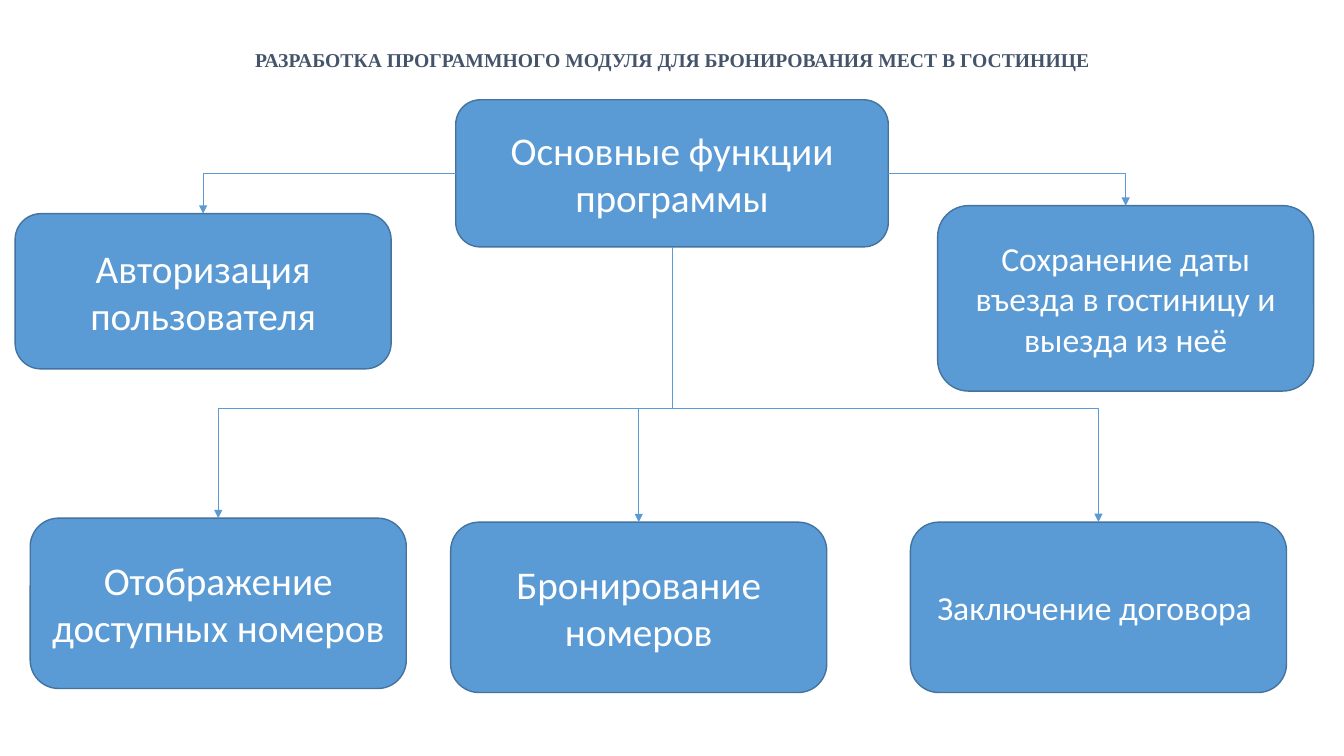
"""Build the slide with the function chart of the hotel booking module."""
from lxml.etree import SubElement
from pptx import Presentation
from pptx.dml.color import RGBColor
from pptx.enum.shapes import MSO_CONNECTOR, MSO_SHAPE
from pptx.enum.text import MSO_ANCHOR, PP_ALIGN
from pptx.oxml.ns import qn
from pptx.util import Inches, Pt

TITLE = "РАЗРАБОТКА ПРОГРАММНОГО МОДУЛЯ ДЛЯ БРОНИРОВАНИЯ МЕСТ В ГОСТИНИЦЕ"
TITLE_BOX = (2.17, 0.3, 9, 0.61)
ROOT = ("Основные функции программы", 28, (4.52, 0.99, 4.29, 1.46))
SIDES = [
    ("Авторизация пользователя", 28, (0.15, 2.12, 3.73, 1.54)),
    ("Сохранение даты въезда в гостиницу и выезда из неё", 24, (9.3, 2.04, 3.73, 1.84)),
]
BOTTOM = [
    ("Отображение доступных номеров", 28, (0.3, 5.14, 3.73, 1.69)),
    ("Бронирование номеров", 28, (4.47, 5.18, 3.73, 1.69)),
    ("Заключение договора ", 24, (9.03, 5.18, 3.73, 1.69)),
]
BRANCH_Y = 4.05
BLUE, OUTLINE, WHITE, SLATE = "5B9BD5", "43739E", "FFFFFF", "44546A"


def color(hex_code):
    return RGBColor.from_string(hex_code)


def write(sp, text, size, font, hex_code, bold=False):
    tf = sp.text_frame
    tf.text = text
    tf.word_wrap = True
    tf.vertical_anchor = MSO_ANCHOR.MIDDLE
    p = tf.paragraphs[0]
    p.alignment = PP_ALIGN.CENTER
    f = p.runs[0].font
    f.name, f.size, f.bold = font, Pt(size), bold
    f.color.rgb = color(hex_code)
    return p


def add_box(s, text, size, box):
    sp = s.shapes.add_shape(MSO_SHAPE.ROUNDED_RECTANGLE, *map(Inches, box))
    sp.shadow.inherit = False
    sp.fill.solid()
    sp.fill.fore_color.rgb = color(BLUE)
    sp.line.color.rgb = color(OUTLINE)
    sp.line.width = Pt(1)
    write(sp, text, size, "Calibri", WHITE)


def add_arrow(s, preset, *ends):
    c = s.shapes.add_connector(MSO_CONNECTOR.ELBOW, *map(Inches, ends))
    c.line.color.rgb = color(BLUE)
    c.line.width = Pt(0.5)
    spPr = c._element.spPr
    SubElement(spPr.find(qn("a:ln")), qn("a:tailEnd"), type="triangle")
    SubElement(spPr, qn("a:effectLst"))
    geom = spPr.find(qn("a:prstGeom"))
    geom.set("prst", preset)
    return spPr.find(qn("a:xfrm")), geom.find(qn("a:avLst"))


def add_side_arrow(s, box):
    left, top, width, height = ROOT[2]
    x = box[0] + box[2] / 2
    start = left if x < left else left + width
    add_arrow(s, "bentConnector2", start, top + height / 2, x, box[1])


def add_down_arrow(s, box):
    left, top, width, height = ROOT[2]
    x1, y1 = left + width / 2, top + height
    x2, y2 = box[0] + box[2] / 2, box[1]
    cx, cy = (x1 + x2) / 2, (y1 + y2) / 2
    drop, half_span = y2 - y1, abs(x2 - x1) / 2
    half_drop = drop / 2 if x2 > x1 else -drop / 2
    xfrm, guides = add_arrow(s, "bentConnector3", cx + half_drop, cy - half_span,
                             cx - half_drop, cy + half_span)
    xfrm.set("rot", str((270 if x2 > x1 else 90) * 60000))
    bend = round((BRANCH_Y - y1) / drop * 100000)
    SubElement(guides, qn("a:gd"), name="adj1", fmla=f"val {bend}")


def main():
    prs = Presentation()
    prs.slide_width, prs.slide_height = Inches(13.33), Inches(7.5)
    s = prs.slides.add_slide(prs.slide_layouts[6])
    title = s.shapes.add_textbox(*map(Inches, TITLE_BOX))
    p = write(title, TITLE, 14, "Times New Roman", SLATE, bold=True)
    p.line_spacing = 0.9
    for node in [ROOT, *SIDES, *BOTTOM]:
        add_box(s, *node)
    for _, _, box in SIDES:
        add_side_arrow(s, box)
    for _, _, box in BOTTOM:
        add_down_arrow(s, box)
    prs.save("out.pptx")


if __name__ == "__main__":
    main()
